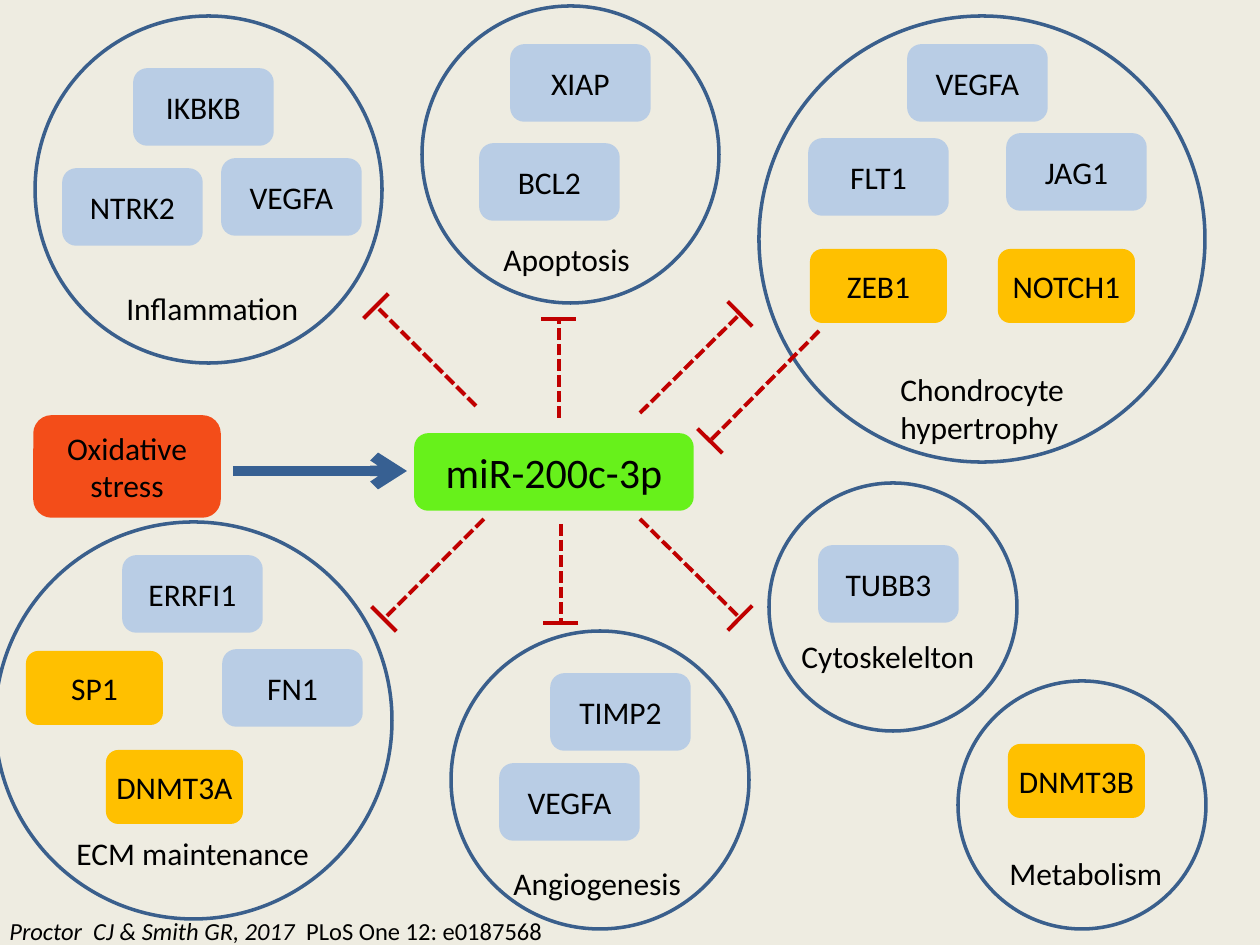
from dataclasses import dataclass
from math import hypot

from pptx import Presentation
from pptx.dml.color import RGBColor
from pptx.enum.dml import MSO_LINE_DASH_STYLE as Dash
from pptx.enum.shapes import MSO_CONNECTOR as Connector, MSO_SHAPE as Shape
from pptx.enum.text import MSO_ANCHOR as Anchor, PP_ALIGN as Align
from pptx.oxml.ns import qn
from pptx.util import Pt
from lxml.etree import SubElement

EMU_PER_PX = 914400 / 126


@dataclass(frozen=True)
class Theme:
    font: str = "Calibri"
    background: str = "EEECE1"
    text: str = "000000"
    regulator: str = "67F11B"
    stress: str = "F34D19"
    blue_gene: str = "B9CDE5"
    gold_gene: str = "FFC000"
    circle: str = "3A5F8C"
    arrow: str = "376092"
    inhibition: str = "C00000"
    regulator_size: int = 24
    body_size: int = 18
    citation_size: int = 14


THEME = Theme()
GENE_SIZE = (137, 74)
BAR_LENGTH = 35

PATHWAYS = [
    ("Apoptosis", (491, 234, 154, 51), (422, 6, 297),
     [("BCL2", 481, 145), ("XIAP", 512, 46)], []),
    ("Metabolism", (997, 848, 180, 51), (958, 681, 248),
     [], [("DNMT3B", 1008, 744)]),
    ("Chondrocyte hypertrophy", (888, 364, 287, 89), (759, 16, 446),
     [("FLT1", 810, 140), ("JAG1", 1008, 135), ("VEGFA", 909, 46)],
     [("ZEB1", 810, 249), ("NOTCH1", 998, 249)]),
    ("ECM maintenance", (64, 828, 261, 51), (-5, 522, 397),
     [("ERRFI1", 124, 557), ("FN1", 224, 651)],
     [("DNMT3A", 106, 750), ("SP1", 26, 651)]),
    ("Angiogenesis", (501, 858, 195, 51), (451, 631, 298),
     [("TIMP2", 552, 675), ("VEGFA", 501, 765)], []),
    ("Inflammation", (114, 283, 199, 51), (35, 16, 347),
     [("IKBKB", 135, 70), ("NTRK2", 64, 170), ("VEGFA", 223, 160)], []),
    ("Cytoskelelton", (789, 631, 208, 51), (769, 483, 248),
     [("TUBB3", 820, 547)], []),
]

INHIBITIONS = [
    ((484, 519), (384, 619)),
    ((640, 413), (740, 314)),
    ((476, 406), (376, 306)),
    ((640, 519), (740, 618)),
    ((559, 418), (559, 319)),
    ((561, 524), (561, 623)),
    ((819, 331), (710, 441)),
]


def px(*lengths):
    return [round(length * EMU_PER_PX) for length in lengths]


def color(code):
    return RGBColor.from_string(code)


def add_run(paragraph, text, size=THEME.body_size, italic=False):
    run = paragraph.add_run()
    run.text = text
    run.font.name = THEME.font
    run.font.size = Pt(size)
    run.font.italic = italic
    run.font.color.rgb = color(THEME.text)


def add_box(shapes, text, bounds, fill, outlined=True, size=THEME.body_size):
    shape = shapes.add_shape(Shape.ROUNDED_RECTANGLE, *px(*bounds))
    shape.shadow.inherit = False
    shape.fill.solid()
    shape.fill.fore_color.rgb = color(fill)
    if outlined:
        shape.line.color.rgb = color(fill)
        shape.line.width = Pt(2)
    else:
        shape.line.fill.background()
    frame = shape.text_frame
    frame.word_wrap = True
    frame.margin_left = frame.margin_right = 0
    frame.vertical_anchor = Anchor.MIDDLE
    paragraph = frame.paragraphs[0]
    paragraph.alignment = Align.CENTER
    add_run(paragraph, text, size)


def add_circle(shapes, left, top, diameter):
    shape = shapes.add_shape(Shape.OVAL, *px(left, top, diameter, diameter))
    shape.shadow.inherit = False
    shape.fill.background()
    shape.line.color.rgb = color(THEME.circle)
    shape.line.width = Pt(2)


def add_label(shapes, runs, bounds, wrap=True):
    frame = shapes.add_textbox(*px(*bounds)).text_frame
    frame.word_wrap = wrap
    paragraph = frame.paragraphs[0]
    paragraph.alignment = Align.LEFT
    for text, options in runs:
        add_run(paragraph, text, **options)


def add_line(shapes, start, end, stroke, width, dash=None, arrow=False):
    line = shapes.add_connector(Connector.STRAIGHT, *px(*start, *end))
    line.line.color.rgb = color(stroke)
    line.line.width = Pt(width)
    if dash:
        line.line.dash_style = dash
    properties = line._element.spPr
    if arrow:
        SubElement(properties.find(qn("a:ln")), qn("a:tailEnd"), type="arrow")
    SubElement(properties, qn("a:effectLst"))


def add_inhibition(slide, start, tip):
    shapes = slide.shapes.add_group_shape().shapes
    add_line(shapes, start, tip, THEME.inhibition, 2.25, dash=Dash.SQUARE_DOT)
    run, rise = tip[0] - start[0], tip[1] - start[1]
    scale = BAR_LENGTH / 2 / hypot(run, rise)
    across, down = -rise * scale, run * scale
    add_line(shapes, (tip[0] - across, tip[1] - down),
             (tip[0] + across, tip[1] + down), THEME.inhibition, 2.25)


def add_pathway(slide, name, label_bounds, circle, blue_genes, gold_genes):
    shapes = slide.shapes.add_group_shape().shapes
    for gene, left, top in blue_genes:
        add_box(shapes, gene, (left, top, *GENE_SIZE), THEME.blue_gene)
    for gene, left, top in gold_genes:
        add_box(shapes, gene, (left, top, *GENE_SIZE), THEME.gold_gene, outlined=False)
    add_circle(shapes, *circle)
    add_label(shapes, [(name, {})], label_bounds, wrap=" hyper" in name)


def main():
    presentation = Presentation()
    presentation.slide_width, presentation.slide_height = px(1260, 945)
    slide = presentation.slides.add_slide(presentation.slide_layouts[6])
    slide.background.fill.solid()
    slide.background.fill.fore_color.rgb = color(THEME.background)

    add_box(slide.shapes, "miR-200c-3p", (416, 435, 276, 74), THEME.regulator,
            size=THEME.regulator_size)
    add_box(slide.shapes, "Oxidative stress", (35, 417, 184, 99), THEME.stress)
    for pathway in PATHWAYS:
        add_pathway(slide, *pathway)
    add_line(slide.shapes, (233, 471), (407, 471), THEME.arrow, 6, arrow=True)
    for start, tip in INHIBITIONS:
        add_inhibition(slide, start, tip)
    citation = [
        ("Proctor  CJ & Smith GR, 2017  ", {"size": THEME.citation_size, "italic": True}),
        ("PLoS One 12: e0187568", {"size": THEME.citation_size}),
    ]
    add_label(slide.shapes, citation, (-3, 910, 566, 43), wrap=False)
    presentation.save("out.pptx")


if __name__ == "__main__":
    main()
